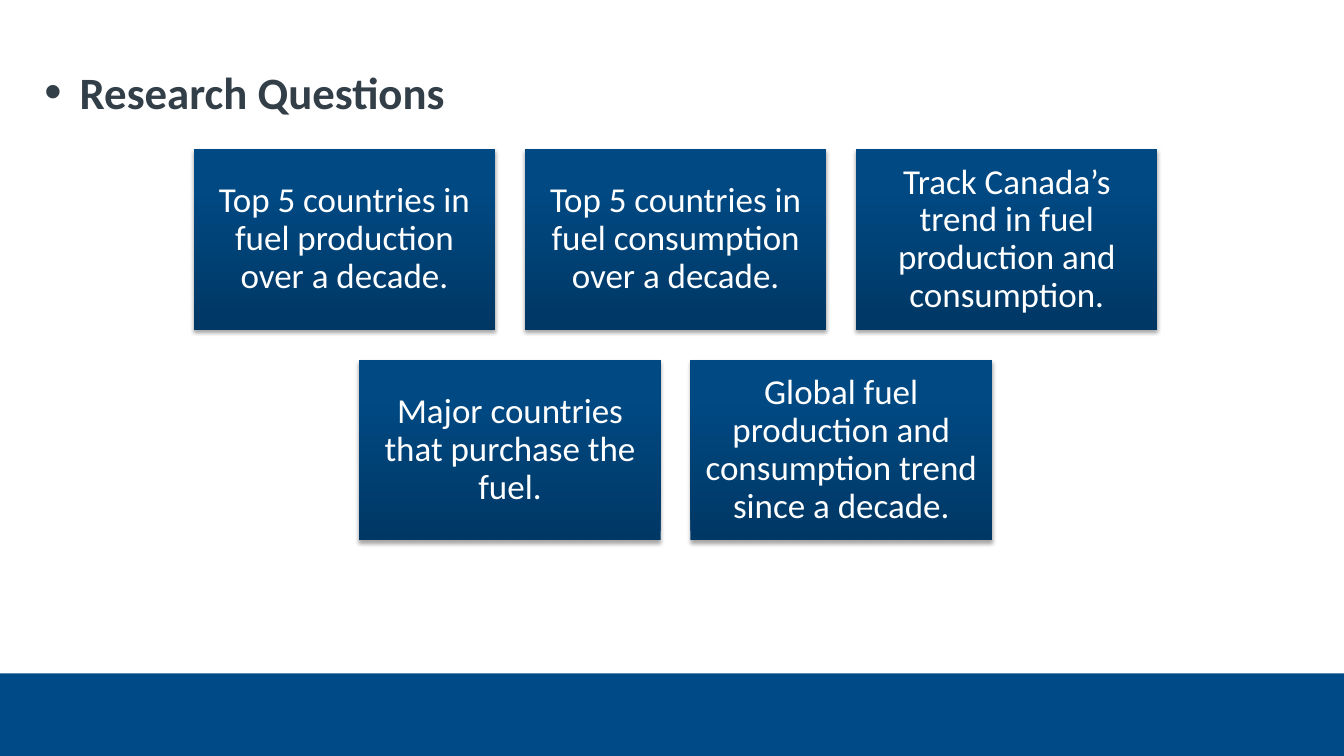
from dataclasses import dataclass

from lxml import etree
from pptx import Presentation
from pptx import util as u
from pptx.dml.color import RGBColor
from pptx.enum import shapes, text
from pptx.oxml import ns

WIDE, HIGH = 2.99, 1.79
STEP, DROP = 3.285, 2.09
MID, TOP = 6.7, 1.48


@dataclass
class Card:
    text: str
    left: float
    top: float


ROWS = [
    [
        "Top 5 countries in fuel production over a decade.",
        "Top 5 countries in fuel consumption over a decade.",
        "Track Canada’s trend in fuel production and consumption.",
    ],
    [
        "Major countries that purchase the fuel.",
        "Global fuel production and consumption trend since a decade.",
    ],
]


def tint(code: str) -> RGBColor:
    return RGBColor.from_string(code)


def style(font, size: float, code: str, bold: bool = False) -> None:
    font.name = "Calibri"
    font.size = u.Pt(size)
    font.bold = bold
    font.color.rgb = tint(code)


def pad(frame, gap: float) -> None:
    frame.word_wrap = True
    frame.margin_left = frame.margin_right = u.Inches(gap)
    frame.margin_top = frame.margin_bottom = u.Inches(gap)


def add_rect(slide, left: float, top: float, width: float, height: float):
    rect = slide.shapes.add_shape(
        shapes.MSO_SHAPE.RECTANGLE,
        u.Inches(left), u.Inches(top), u.Inches(width), u.Inches(height),
    )
    rect.line.fill.background()
    rect.shadow.inherit = False
    return rect


def add_shade(shape) -> None:
    glow = etree.SubElement(
        shape.element.spPr.find(ns.qn("a:effectLst")), ns.qn("a:outerShdw"),
        blurRad=str(u.Pt(3.1)), dist=str(u.Pt(1.8)), dir="5400000", rotWithShape="0",
    )
    color = etree.SubElement(glow, ns.qn("a:srgbClr"), val="000000")
    etree.SubElement(color, ns.qn("a:alpha"), val="35000")


def add_title(slide, words: str) -> None:
    box = slide.shapes.add_textbox(
        u.Inches(0.44), u.Inches(0.64), u.Inches(11.99), u.Inches(0.63)
    )
    pad(box.text_frame, 0)
    box.text_frame.text = words
    para = box.text_frame.paragraphs[0]
    props = para._p.get_or_add_pPr()
    props.set("marL", str(u.Inches(0.35)))
    props.set("indent", str(u.Inches(-0.35)))
    etree.SubElement(props, ns.qn("a:buSzPct"), val="110000")
    etree.SubElement(props, ns.qn("a:buFont"), typeface="Arial")
    etree.SubElement(props, ns.qn("a:buChar"), char="•")
    style(para.runs[0].font, 32, "333F48", True)


def add_card(slide, card: Card) -> None:
    rect = add_rect(slide, card.left, card.top, WIDE, HIGH)
    rect.fill.gradient()
    rect.fill.gradient_angle = 90
    stops = zip(rect.fill.gradient_stops, [(0, "003865"), (0.8, "004983")])
    for stop, (place, code) in stops:
        stop.position = place
        stop.color.rgb = tint(code)
    add_shade(rect)
    frame = rect.text_frame
    pad(frame, 0.1)
    frame.vertical_anchor = text.MSO_ANCHOR.MIDDLE
    frame.text = card.text
    para = frame.paragraphs[0]
    para.alignment = text.PP_ALIGN.CENTER
    para.line_spacing = 0.9
    style(para.runs[0].font, 25, "FFFFFF")


def main() -> None:
    deck = Presentation()
    deck.slide_width, deck.slide_height = u.Inches(13.33), u.Inches(7.5)
    slide = deck.slides.add_slide(deck.slide_layouts[6])
    band = add_rect(slide, 0, 6.68, 13.33, 0.82)
    band.fill.solid()
    band.fill.fore_color.rgb = tint("004B87")
    add_title(slide, "Research Questions")
    for row, items in enumerate(ROWS):
        start = MID - ((len(items) - 1) * STEP + WIDE) / 2
        for col, words in enumerate(items):
            add_card(slide, Card(words, start + col * STEP, TOP + row * DROP))
    deck.save("out.pptx")


if __name__ == "__main__":
    main()
